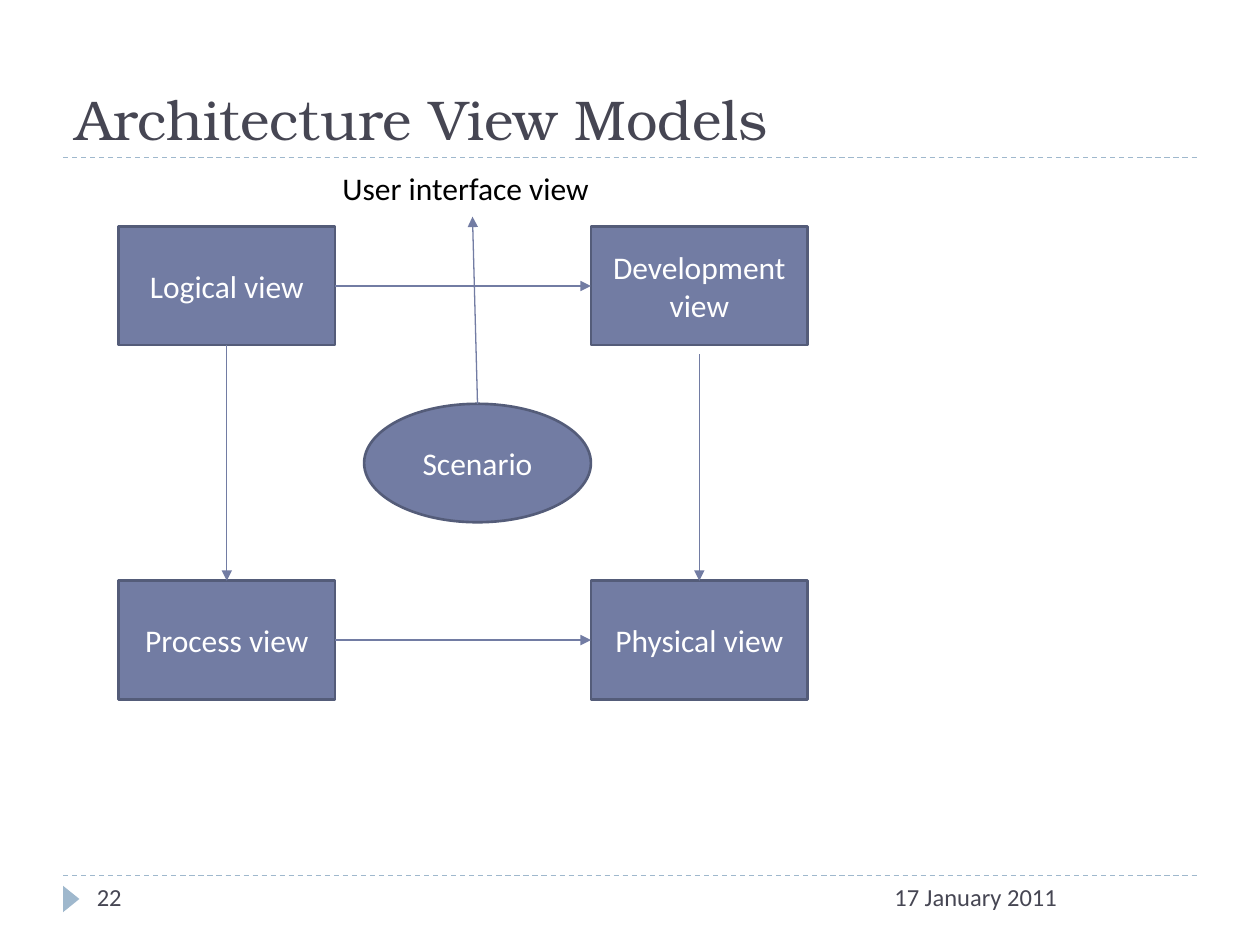
from lxml import etree
from pptx import Presentation
from pptx.dml.color import RGBColor
from pptx.enum.dml import MSO_LINE
from pptx.enum.shapes import MSO_CONNECTOR, MSO_SHAPE
from pptx.enum.text import MSO_ANCHOR, PP_ALIGN
from pptx.oxml.ns import qn
from pptx.util import Inches, Pt

STRAIGHT = MSO_CONNECTOR.STRAIGHT
RECTANGLE, OVAL, TRIANGLE = MSO_SHAPE.RECTANGLE, MSO_SHAPE.OVAL, MSO_SHAPE.ISOSCELES_TRIANGLE
DASH = MSO_LINE.DASH
LEFT, CENTER = PP_ALIGN.LEFT, PP_ALIGN.CENTER
TOP, MIDDLE, BOTTOM = MSO_ANCHOR.TOP, MSO_ANCHOR.MIDDLE, MSO_ANCHOR.BOTTOM

WHITE = RGBColor(0xFF, 0xFF, 0xFF)
BLACK = RGBColor(0x00, 0x00, 0x00)
SLATE = RGBColor(0x46, 0x46, 0x53)
INDIGO = RGBColor(0x72, 0x7C, 0xA3)
INDIGO_DARK = RGBColor(0x54, 0x5C, 0x79)
PALE_BLUE = RGBColor(0x9F, 0xB8, 0xCD)

BODY_FONT, TITLE_FONT = "Calibri", "TeX Gyre Bonum"

# Slide and diagram grid, in inches
SLIDE_W, SLIDE_H = 10, 7.5
MARGIN = 0.5
CONTENT_W = SLIDE_W - 2 * MARGIN
TITLE_RULE_Y, FOOTER_RULE_Y = 1.25, 6.95
GRID_LEFT, GRID_TOP = 0.94, 1.8
COLUMN_STEP, ROW_STEP = 3.75, 2.81
VIEW_W, VIEW_H = 1.72, 0.94

# Connection sites of a rectangle or oval
SITE_TOP, SITE_LEFT, SITE_BOTTOM, SITE_RIGHT = range(4)


def inches(*lengths):
    return [Inches(length) for length in lengths]


def write(frame, text, size=18, font=BODY_FONT, color=BLACK, align=LEFT, anchor=TOP, wrap=True):
    frame.word_wrap = wrap
    frame.vertical_anchor = anchor
    paragraph = frame.paragraphs[0]
    paragraph.alignment = align
    run = paragraph.add_run()
    run.text = text
    run.font.size = Pt(size)
    run.font.name = font
    run.font.color.rgb = color


def add_label(slide, box, text, **text_format):
    label = slide.shapes.add_textbox(*inches(*box))
    write(label.text_frame, text, **text_format)


def add_node(slide, kind, box, text):
    node = slide.shapes.add_shape(kind, *inches(*box))
    node.shadow.inherit = False
    node.fill.solid()
    node.fill.fore_color.rgb = INDIGO
    node.line.color.rgb = INDIGO_DARK
    node.line.width = Pt(1.5)
    write(node.text_frame, text, color=WHITE, align=CENTER, anchor=MIDDLE)
    return node


def add_view(slide, column, row, text):
    box = (GRID_LEFT + column * COLUMN_STEP, GRID_TOP + row * ROW_STEP, VIEW_W, VIEW_H)
    return add_node(slide, RECTANGLE, box, text)


def add_line(slide, start=(0, 0), end=(0, 0), color=INDIGO):
    line = slide.shapes.add_connector(STRAIGHT, *inches(*start, *end))
    line.line.color.rgb = color
    line.line.width = Pt(0.75)
    etree.SubElement(line._element.spPr, qn("a:effectLst"))
    return line


def add_rule(slide, y):
    rule = add_line(slide, (MARGIN, y), (SLIDE_W - MARGIN, y), PALE_BLUE)
    rule.line.dash_style = DASH


def add_arrow(slide, start=(0, 0), end=(0, 0), source=None, target=None):
    """Each of source and target is a node with its connection site."""
    arrow = add_line(slide, start, end)
    if source:
        arrow.begin_connect(*source)
    if target:
        arrow.end_connect(*target)
    etree.SubElement(arrow.line._get_or_add_ln(), qn("a:tailEnd"), type="triangle")


def add_frame(slide):
    # Title, rules and footer
    add_rule(slide, FOOTER_RULE_Y)
    add_rule(slide, TITLE_RULE_Y)
    marker = slide.shapes.add_shape(TRIANGLE, *inches(0.46, 7.07, 0.21, 0.13))
    marker.rotation = 90
    marker.shadow.inherit = False
    marker.fill.solid()
    marker.fill.fore_color.rgb = PALE_BLUE
    marker.line.fill.background()
    add_label(slide, (MARGIN, TITLE_RULE_Y - 1, CONTENT_W, 1), "Architecture View Models",
              size=32, font=TITLE_FONT, color=SLATE, anchor=BOTTOM)
    add_label(slide, (7, FOOTER_RULE_Y, 2.5, 0.4), "17 January 2011", size=14, color=SLATE)
    add_label(slide, (0.67, FOOTER_RULE_Y, 2.17, 0.4), "22", size=14, color=SLATE)


def add_diagram(slide):
    # Views on the grid, with the scenario between them
    logical = add_view(slide, 0, 0, "Logical view")
    development = add_view(slide, 1, 0, "Development view")
    process = add_view(slide, 0, 1, "Process view")
    physical = add_view(slide, 1, 1, "Physical view")
    scenario = add_node(slide, OVAL, (2.89, GRID_TOP + ROW_STEP / 2, 1.8, VIEW_H), "Scenario")

    # Arrows
    for source, target in ((logical, development), (process, physical)):
        add_arrow(slide, source=(source, SITE_RIGHT), target=(target, SITE_LEFT))
    add_arrow(slide, source=(logical, SITE_BOTTOM), target=(process, SITE_TOP))
    add_arrow(slide, start=(5.55, 2.81), target=(physical, SITE_TOP))
    add_arrow(slide, end=(3.75, 1.72), source=(scenario, SITE_TOP))
    add_label(slide, (2.62, 1.29, 2.27, 0.4), "User interface view", wrap=False)


def main():
    deck = Presentation()
    deck.slide_width, deck.slide_height = inches(SLIDE_W, SLIDE_H)
    slide = deck.slides.add_slide(deck.slide_layouts[6])
    add_frame(slide)
    add_diagram(slide)
    deck.save("out.pptx")


main()
